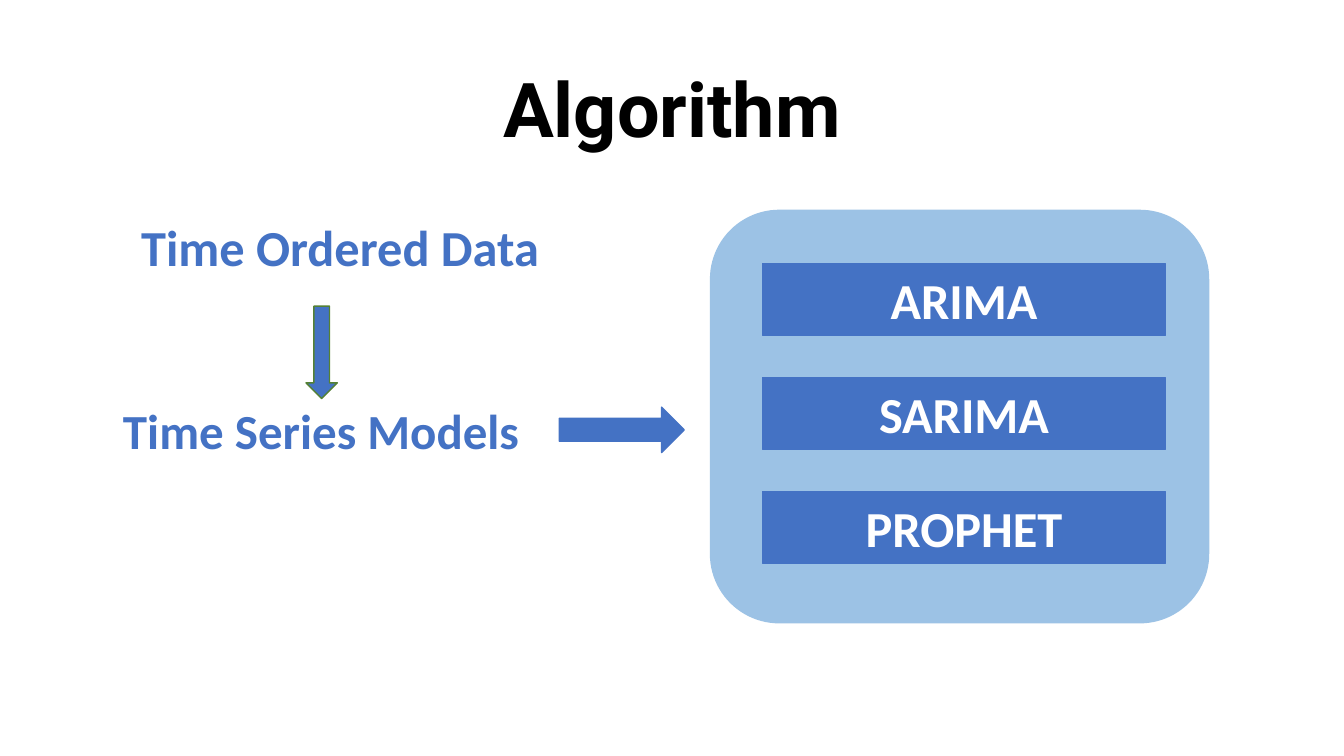
from pptx import Presentation
from pptx.dml.color import RGBColor
from pptx.enum.shapes import MSO_SHAPE as Shape
from pptx.enum.text import MSO_ANCHOR as Anchor, MSO_AUTO_SIZE as AutoSize, PP_ALIGN as Align
from pptx.util import Pt

BLUE, PALE, GREEN = "4472C4", "9CC2E5", "548135"
WHITE, BLACK = "FFFFFF", "000000"


def rgb(hex_text):
    return RGBColor.from_string(hex_text)


def write(frame, text, size=36, font="Calibri", color=BLUE, anchor=Anchor.TOP,
          spacing=None, auto_size=AutoSize.SHAPE_TO_FIT_TEXT):
    """Put one bold, centred line of text into a frame."""
    frame.word_wrap = True
    frame.auto_size = auto_size
    frame.vertical_anchor = anchor
    para = frame.paragraphs[0]
    para.alignment = Align.CENTER
    para.line_spacing = spacing
    span = para.add_run()
    span.text = text
    span.font.size = Pt(size)
    span.font.name = font
    span.font.bold = True
    span.font.color.rgb = rgb(color)


class Diagram:
    """Holds the slide and draws its elements, with lengths in points."""

    def __init__(self, deck):
        self.page = deck.slides.add_slide(deck.slide_layouts[5])

    def title(self, text, *frame):
        box = self.page.shapes.title
        box.left, box.top, box.width, box.height = map(Pt, frame)
        write(box.text_frame, text, size=54, font="Roboto", color=BLACK,
              anchor=Anchor.MIDDLE, spacing=0.9, auto_size=AutoSize.NONE)

    def label(self, text, *frame, size=36):
        box = self.page.shapes.add_textbox(*map(Pt, frame))
        write(box.text_frame, text, size=size)

    def shape(self, kind, *frame, fill=BLUE, line=BLUE, weight=1):
        box = self.page.shapes.add_shape(kind, *map(Pt, frame))
        box.shadow.inherit = False
        box.fill.solid()
        box.fill.fore_color.rgb = rgb(fill)
        box.line.color.rgb = rgb(line)
        box.line.width = Pt(weight)
        return box

    def bar(self, text, *frame):
        box = self.shape(Shape.RECTANGLE, *frame, weight=0.75)
        write(box.text_frame, text, color=WHITE)


def main():
    deck = Presentation()
    deck.slide_width, deck.slide_height = Pt(960), Pt(540)
    diagram = Diagram(deck)
    diagram.title("Algorithm", 66, 28.8, 828, 104.4)

    # Models panel with its evenly spaced bars
    diagram.shape(Shape.ROUNDED_RECTANGLE, 507.6, 150.3, 355.7, 294.5, fill=PALE, line=PALE)
    for row, model in enumerate(["ARIMA", "SARIMA", "PROPHET"]):
        diagram.bar(model, 545, 188.5 + 81.4 * row, 287.3, 51)

    # Steps on the left
    diagram.label("Time Ordered Data", 26, 150.5, 434, 51)
    diagram.label("Time Series Models", 54.5, 282.3, 350, 49.5, size=35)

    # Arrows between the steps and to the panel
    diagram.shape(Shape.DOWN_ARROW, 218.6, 218.7, 22.4, 66, line=GREEN)
    diagram.shape(Shape.RIGHT_ARROW, 399.5, 290.8, 89.3, 32.4)

    deck.save("out.pptx")


if __name__ == "__main__":
    main()
